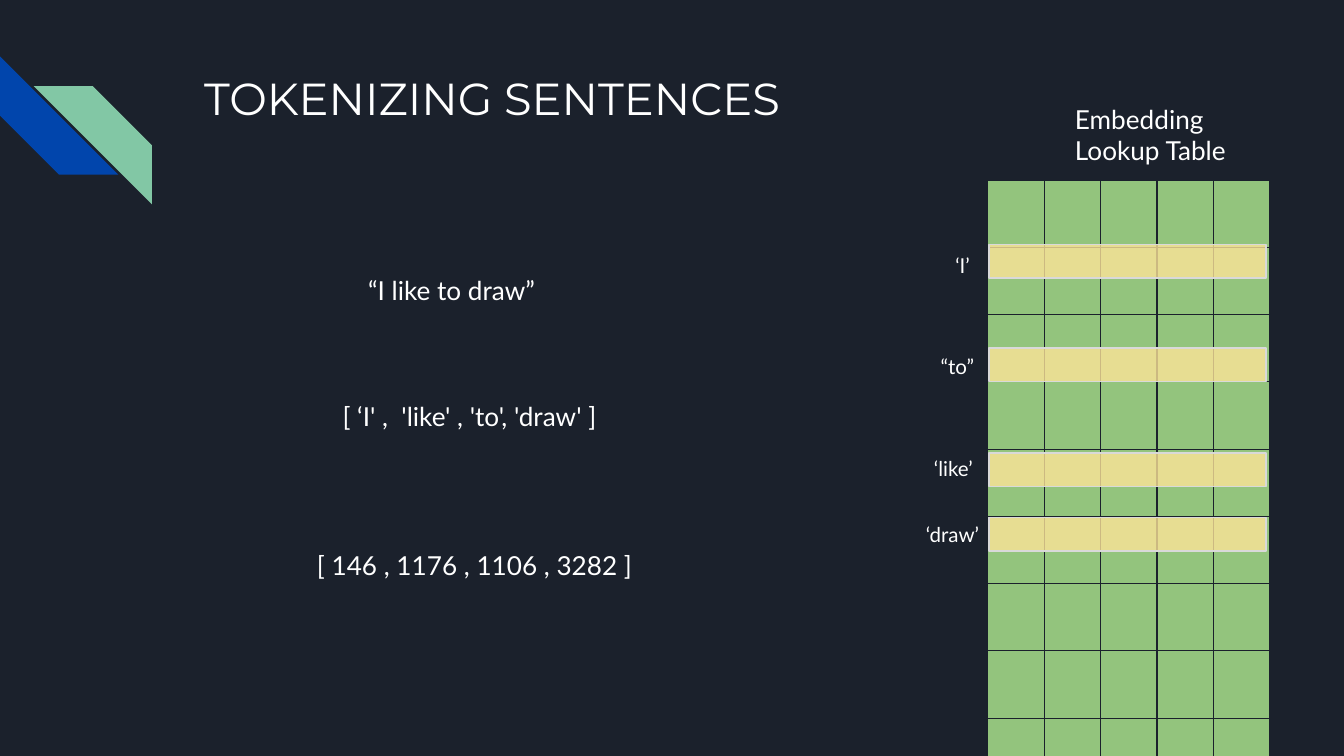
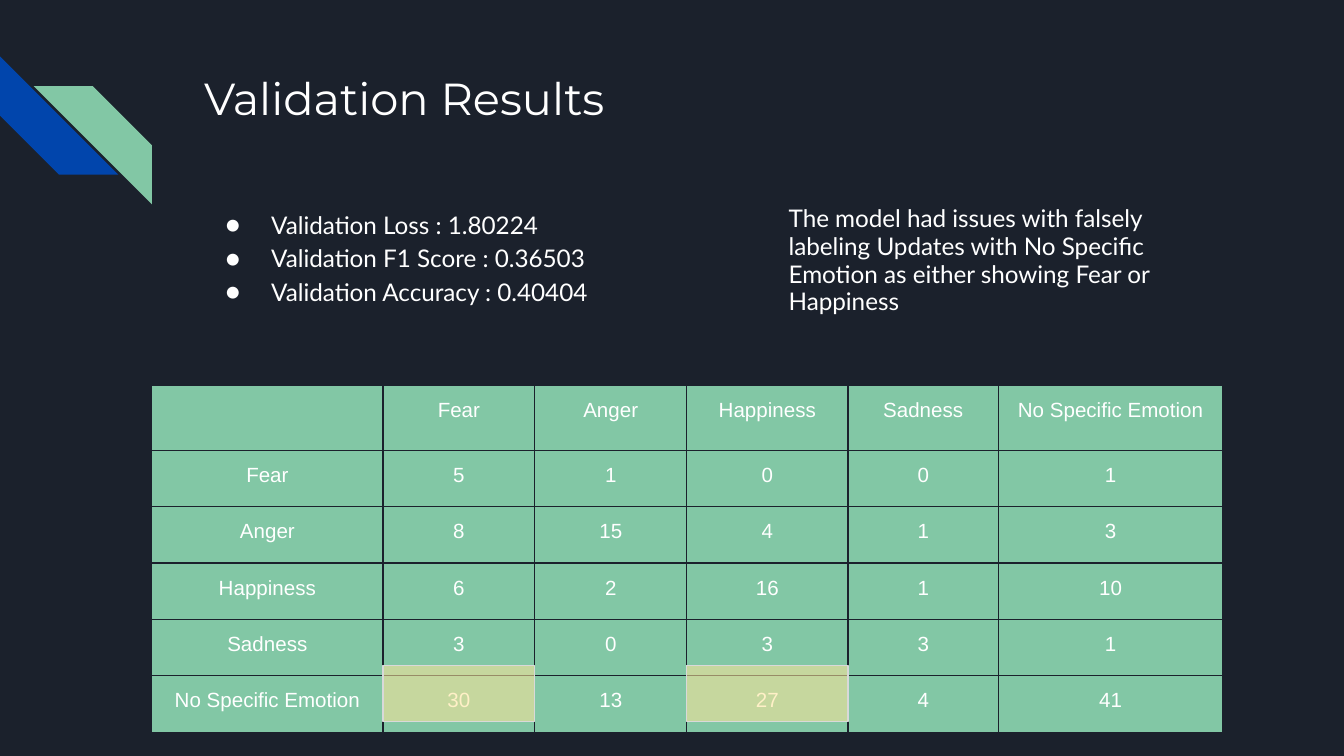
from lxml import etree
from pptx import Presentation
from pptx.dml.color import RGBColor
from pptx.enum.shapes import MSO_SHAPE
from pptx.enum.text import PP_ALIGN
from pptx.oxml.ns import qn
from pptx.util import Inches, Pt

RECT, STRIPE = MSO_SHAPE.RECTANGLE, MSO_SHAPE.DIAGONAL_STRIPE
CENTER = PP_ALIGN.CENTER
COLORS = {
    "bg": "1B212C", "white": "FFFFFF", "blue": "0145AC", "mint": "82C7A5",
    "green": "93C47D", "yellow": "FFE599", "gray": "D9D9D9",
}
HEAD, BODY, TABLE = "Montserrat", "Lato", "Arial"
INSET, LINE = 0.1, 0.75


def rgb(name):
    return RGBColor.from_string(COLORS[name])


def set_insets(target):
    """Give a text frame or a table cell the same margin on all sides."""
    for side in ("left", "top", "right", "bottom"):
        setattr(target, f"margin_{side}", Inches(INSET))


class Deck:
    def __init__(self):
        self.prs = Presentation()
        self.prs.slide_width = Inches(10)
        self.prs.slide_height = Inches(10) * 9 // 16
        self.s = None

    def slide(self, title):
        self.s = self.prs.slides.add_slide(self.prs.slide_layouts[6])
        fill = self.s.background.fill
        fill.solid()
        fill.fore_color.rgb = rgb("bg")
        self.shape(STRIPE, 0, 0.42, 0.88, 0.88, "blue").rotation = 270
        mint = self.shape(STRIPE, 0.25, 0.64, 0.88, 0.88, "mint")
        mint._element.spPr.find(qn("a:xfrm")).set("flipH", "1")
        self.text(1.42, 0.43, 7.7, 1, [title], 24, HEAD)

    def shape(self, kind, x, y, w, h, color):
        sp = self.s.shapes.add_shape(kind, Inches(x), Inches(y), Inches(w), Inches(h))
        sp.shadow.inherit = False
        sp.fill.solid()
        sp.fill.fore_color.rgb = rgb(color)
        sp.line.fill.background()
        return sp

    def highlight(self, x, y, w, h, opacity):
        """Add a see-through yellow box; opacity is in percent."""
        sp = self.shape(RECT, x, y, w, h, "yellow")
        color = sp._element.spPr.find(qn("a:solidFill")).find(qn("a:srgbClr"))
        etree.SubElement(color, qn("a:alpha"), val=str(opacity * 1000))
        sp.line.color.rgb = rgb("gray")
        sp.line.width = Pt(LINE)

    def run(self, p, text, size, font):
        r = p.add_run()
        r.text = text
        r.font.size, r.font.name = Pt(size), font
        r.font.color.rgb = rgb("white")

    def text(self, x, y, w, h, lines, size, font=BODY, bullet=False, spacing=None):
        box = self.s.shapes.add_textbox(Inches(x), Inches(y), Inches(w), Inches(h))
        tf = box.text_frame
        tf.word_wrap = True
        set_insets(tf)
        for i, line in enumerate(lines):
            p = tf.add_paragraph() if i else tf.paragraphs[0]
            if spacing:
                p.line_spacing = spacing
            if bullet:
                self.bullet(p, font)
            self.run(p, line, size, font)

    def bullet(self, p, font):
        pPr = p._p.get_or_add_pPr()
        pPr.set("marL", str(Inches(0.5)))
        pPr.set("indent", str(Inches(-0.34)))
        color = etree.SubElement(pPr, qn("a:buClr"))
        etree.SubElement(color, qn("a:srgbClr"), val=COLORS["white"])
        etree.SubElement(pPr, qn("a:buFont"), typeface=font)
        etree.SubElement(pPr, qn("a:buChar"), char="●")

    def table(self, x, y, cols, heights, rows, color, size, font):
        frame = self.s.shapes.add_table(len(rows), len(cols), Inches(x), Inches(y),
                                        Inches(sum(cols)), Inches(sum(heights)))
        table = frame.table
        table.first_row = table.horz_banding = False
        for col, width in zip(table.columns, cols):
            col.width = Inches(width)
        for row, height, values in zip(table.rows, heights, rows):
            row.height = Inches(height)
            for cell, value in zip(row.cells, values):
                self.cell(cell, value, color, size, font)

    def cell(self, cell, value, color, size, font):
        set_insets(cell)
        tcPr = cell._tc.get_or_add_tcPr()
        for side in ("lnL", "lnR", "lnT", "lnB"):
            ln = etree.SubElement(tcPr, qn(f"a:{side}"), w=str(Pt(LINE)))
            fill = etree.SubElement(ln, qn("a:solidFill"))
            etree.SubElement(fill, qn("a:srgbClr"), val=COLORS["bg"])
        cell.fill.solid()
        cell.fill.fore_color.rgb = rgb(color)
        p = cell.text_frame.paragraphs[0]
        p.alignment = CENTER
        if value == "":
            end = etree.SubElement(p._p, qn("a:endParaRPr"), sz=str(size * 100))
            etree.SubElement(end, qn("a:latin"), typeface=font)
        else:
            self.run(p, str(value), size, font)


def tokenizing(deck):
    deck.slide("TOKENIZING SENTENCES")
    for x, y, w, step in (
        (2.26, 3.99, 2.59, "[ 146 , 1176 , 1106 , 3282 ]"),
        (2.45, 2.88, 2.21, "[ ‘I' ,  'like' , 'to', 'draw' ]"),
        (2.64, 1.94, 2.21, "“I like to draw”"),
    ):
        deck.text(x, y, w, 0.44, [step], 14)

    n_rows, n_cols = 14, 5
    deck.table(7.35, 1.34, [0.42] * n_cols, [0.25] * n_rows,
               [[""] * n_cols] * n_rows, "green", 18, BODY)
    deck.text(7.9, 0.67, 1.33, 0.67, ["Embedding Lookup Table"], 14)
    for word, x, y, band_y in (
        ("‘I’", 7.01, 1.79, 1.82),
        ("“to”", 6.9, 2.54, 2.59),
        ("‘like’", 6.85, 3.3, 3.37),
        ("‘draw’", 6.79, 3.79, 3.85),
    ):
        deck.text(x, y, 0.71, 0.39, [word], 11)
        deck.highlight(7.36, band_y, 2.06, 0.25, 78)


def validation(deck):
    deck.slide("Validation Results")
    deck.text(1.42, 1.43, 3.34, 1.06,
              ["Validation Loss : 1.80224", "Validation F1 Score : 0.36503",
               "Validation Accuracy : 0.40404"], 13, bullet=True, spacing=1.15)
    deck.text(5.77, 1.43, 3.34, 1.06,
              ["The model had issues with falsely labeling Updates with No Specific "
               "Emotion as either showing Fear or Happiness"], 13, spacing=0.95)

    emotions = ["Fear", "Anger", "Happiness", "Sadness", "No Specific Emotion"]
    counts = [
        [5, 1, 0, 0, 1],
        [8, 15, 4, 1, 3],
        [6, 2, 16, 1, 10],
        [3, 0, 3, 3, 1],
        [30, 13, 27, 4, 41],
    ]
    rows = [["", *emotions]] + [[name, *row] for name, row in zip(emotions, counts)]
    left, cols = 1.13, [1.72, 1.13, 1.13, 1.2, 1.12, 1.67]
    deck.table(left, 2.87, cols, [0.48] + [0.42] * 5, rows, "mint", 11, TABLE)
    for name in ("Fear", "Happiness"):
        col = emotions.index(name) + 1
        deck.highlight(left + sum(cols[:col]), 4.95, cols[col], 0.42, 55)


def main():
    deck = Deck()
    tokenizing(deck)
    validation(deck)
    deck.prs.save("out.pptx")


if __name__ == "__main__":
    main()
